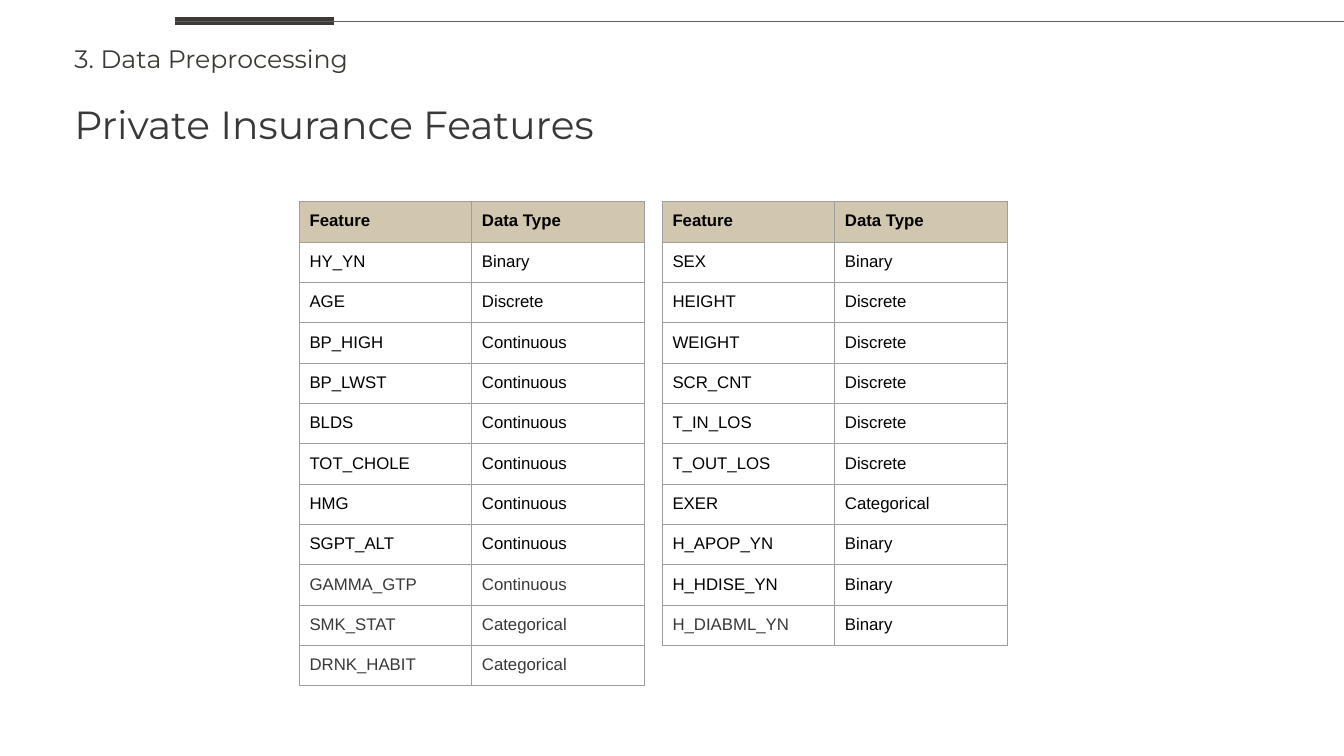
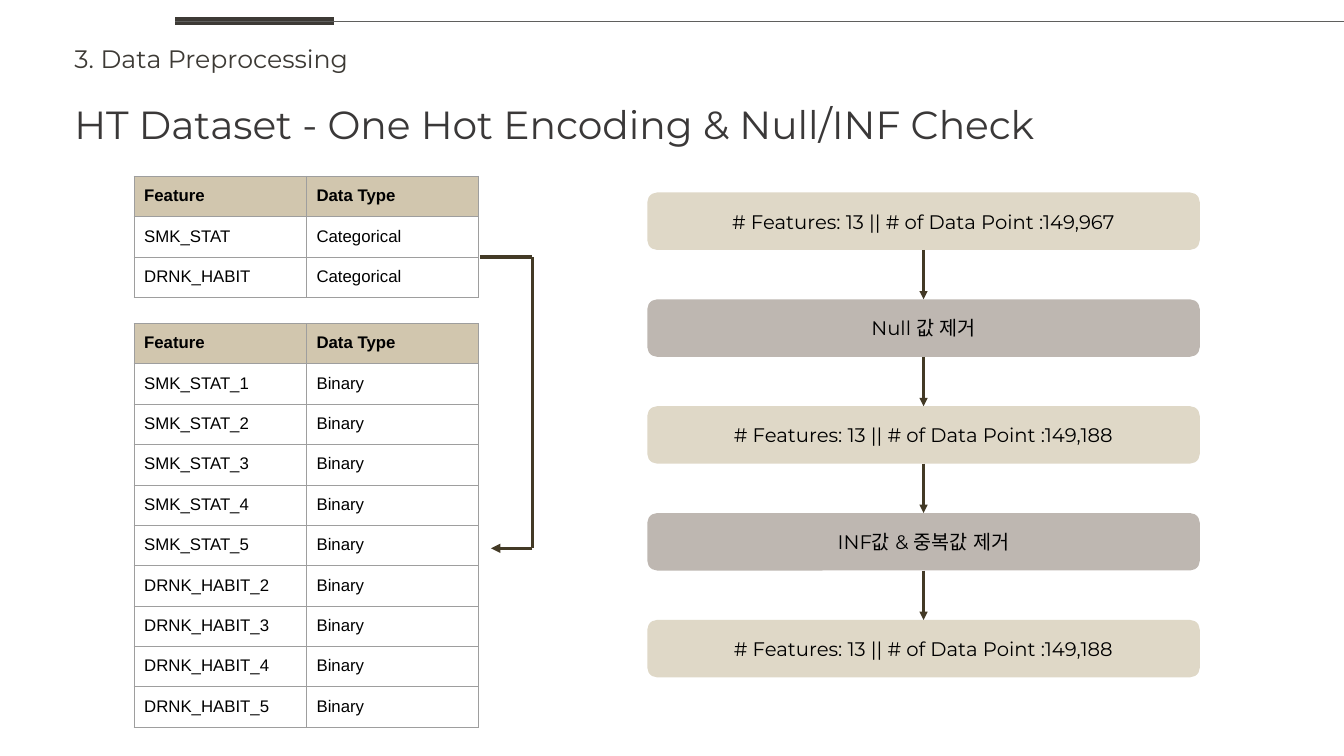
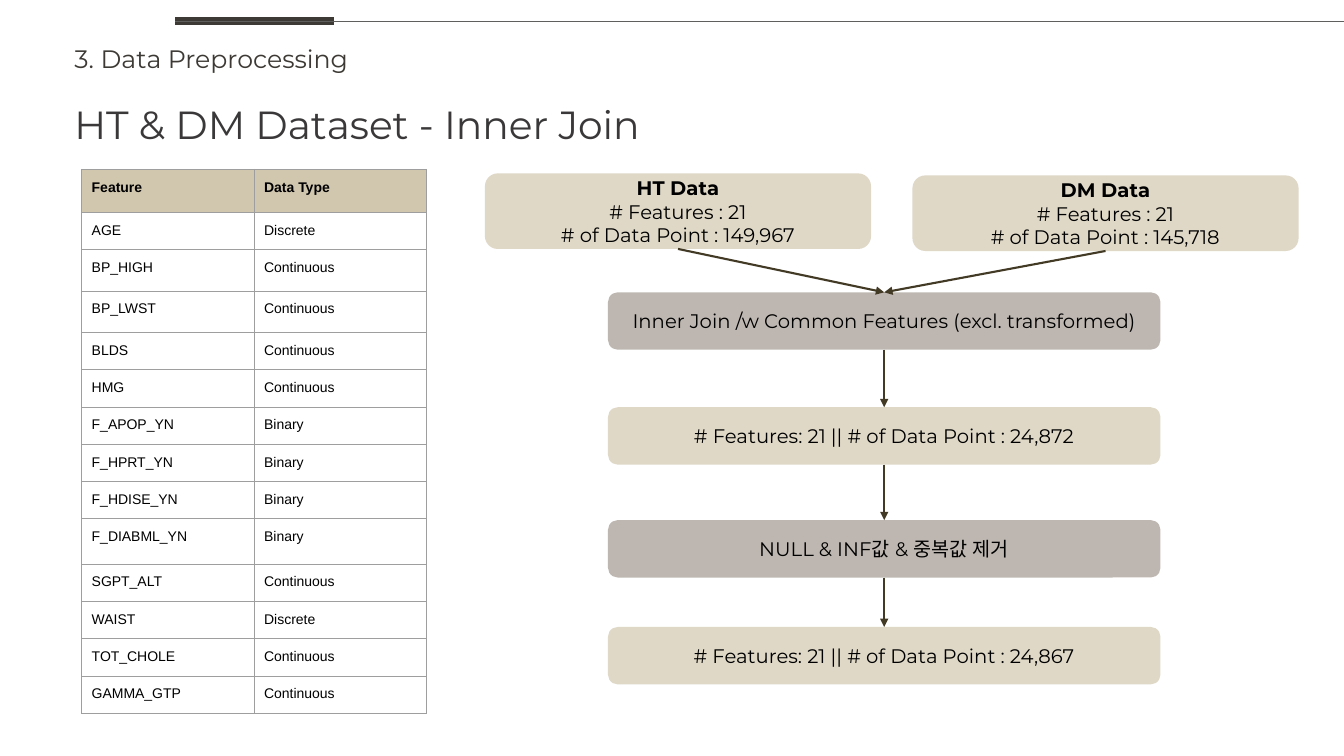
from dataclasses import dataclass
from itertools import pairwise
from typing import Sequence

from lxml import etree
from pptx import Presentation
from pptx.dml.color import RGBColor as RGB
from pptx.enum.shapes import MSO_CONNECTOR as Conn, MSO_SHAPE as Shape
from pptx.enum.text import MSO_ANCHOR as Anchor, PP_ALIGN as Align
from pptx.oxml import parse_xml
from pptx.oxml.ns import nsdecls, qn
from pptx.util import Inches, Pt

COLORS = {
    "ink": "3D3A35", "title": "3A3838", "rule": "5F5F5D", "black": "000000",
    "head": "D1C6AE", "border": "9E9E9E", "arrow": "433A26",
    "data": "DFD8C7", "action": "BEB7B1",
}
MARGINS = ("margin_left", "margin_top", "margin_right", "margin_bottom")
SECTION = "3. Data Preprocessing"
COL_W = 1.71
ROW_H = 0.4
BOX_W, BOX_H = 5.48, 0.57


@dataclass
class FeatureTable:
    left: float
    top: float
    groups: Sequence[tuple[str, str]]  # data type, names separated by spaces
    heights: Sequence[float] = ()
    size: int = 12
    grey: Sequence[str] = ()  # names or types set in the softer colour


@dataclass
class Box:
    left: float
    top: float
    lines: Sequence[str]
    fill: str
    width: float = BOX_W
    height: float = BOX_H

    @property
    def center(self) -> float:
        return self.left + self.width / 2

    @property
    def bottom(self) -> float:
        return self.top + self.height


def rgb(key: str) -> RGB:
    return RGB.from_string(COLORS[key])


def write(p, text: str, font: str, size: float, color: str, bold: bool = False) -> None:
    r = p.add_run()
    r.text = text
    for attr, value in {"name": font, "size": Pt(size), "bold": bold}.items():
        setattr(r.font, attr, value)
    r.font.color.rgb = rgb(color)
    etree.SubElement(r.font._element, qn("a:ea")).set("typeface", font)


def add_line(s, start: tuple[float, float], end: tuple[float, float], color: str,
             width: float, arrow: bool = False) -> None:
    ln = s.shapes.add_connector(Conn.STRAIGHT, *map(Inches, (*start, *end)))
    ln.line.width = Pt(width)
    ln.line.color.rgb = rgb(color)
    etree.SubElement(ln._element.spPr, qn("a:effectLst"))
    if arrow:
        etree.SubElement(ln.line._get_or_add_ln(), qn("a:tailEnd")).set("type", "triangle")


def add_label(s, top: float, width: float, height: float, text: str, size: float,
              color: str) -> None:
    tf = s.shapes.add_textbox(*map(Inches, (0.64, top, width, height))).text_frame
    tf.word_wrap = True
    write(tf.paragraphs[0], text, "Montserrat", size, color)


def add_slide(prs, title: str):
    """Blank slide with the top rules, section name and title."""
    s = prs.slides.add_slide(prs.slide_layouts[6])
    add_label(s, 0.38, 3.05, 0.4, SECTION, 18, "ink")
    add_label(s, 0.95, 12.46, 0.57, title, 28, "title")
    add_line(s, (1.74, 0.21), (3.31, 0.21), "ink", 6)
    add_line(s, (1.74, 0.21), (13.33, 0.21), "rule", 0.75)
    return s


def style_cell(cell, text: str, size: float, color: str, header: bool) -> None:
    for margin in MARGINS:
        setattr(cell, margin, Inches(0.1))
    tc_pr = cell._tc.get_or_add_tcPr()
    for side in ("lnL", "lnR", "lnT", "lnB"):
        tc_pr.append(parse_xml(
            f'<a:{side} {nsdecls("a")} w="{Pt(0.75)}"><a:solidFill>'
            f'<a:srgbClr val="{COLORS["border"]}"/></a:solidFill></a:{side}>'))
    if header:
        cell.fill.solid()
        cell.fill.fore_color.rgb = rgb("head")
    else:
        cell.fill.background()
    write(cell.text_frame.paragraphs[0], text, "Arial", size, color, header)


def add_features(s, spec: FeatureTable) -> None:
    rows = [("Feature", "Data Type")]
    rows += [(name, kind) for kind, names in spec.groups for name in names.split()]
    heights = spec.heights or [ROW_H] * len(rows)
    box = (spec.left, spec.top, 2 * COL_W, sum(heights))
    table = s.shapes.add_table(len(rows), 2, *map(Inches, box)).table
    table.first_row = table.horz_banding = False
    for col in table.columns:
        col.width = Inches(COL_W)
    for i, (row, height) in enumerate(zip(rows, heights)):
        table.rows[i].height = Inches(height)
        for j, text in enumerate(row):
            soft = row[0] in spec.grey and (j == 0 or row[1] != "Binary")
            style_cell(table.cell(i, j), text, spec.size,
                       "title" if soft else "black", i == 0)


def add_box(s, box: Box) -> None:
    sp = s.shapes.add_shape(Shape.ROUNDED_RECTANGLE, *map(
        Inches, (box.left, box.top, box.width, box.height)))
    sp.adjustments[0] = 0.17
    sp.shadow.inherit = False
    sp.fill.solid()
    sp.fill.fore_color.rgb = rgb(box.fill)
    sp.line.fill.background()
    tf = sp.text_frame
    frame = {"word_wrap": True, "vertical_anchor": Anchor.MIDDLE}
    frame |= dict.fromkeys(MARGINS, Inches(0.1))
    for attr, value in frame.items():
        setattr(tf, attr, value)
    for i, line in enumerate(box.lines):
        p = tf.add_paragraph() if i else tf.paragraphs[0]
        p.alignment = Align.CENTER
        # The first line of a longer box is its heading
        write(p, line, "Montserrat", 14, "black", i == 0 and len(box.lines) > 1)


def join_boxes(s, upper: Box, lower: Box) -> None:
    add_line(s, (upper.center, upper.bottom), (lower.center, lower.top), "arrow", 1.5, True)


def add_flow(s, boxes: Sequence[Box]) -> None:
    for box in boxes:
        add_box(s, box)
    for upper, lower in pairwise(boxes):
        join_boxes(s, upper, lower)


def features_slide(prs) -> None:
    s = add_slide(prs, "Private Insurance Features")
    add_features(s, FeatureTable(2.97, 2, [
        ("Binary", "HY_YN"),
        ("Discrete", "AGE"),
        ("Continuous", "BP_HIGH BP_LWST BLDS TOT_CHOLE HMG SGPT_ALT GAMMA_GTP"),
        ("Categorical", "SMK_STAT DRNK_HABIT"),
    ], grey=("GAMMA_GTP", "SMK_STAT", "DRNK_HABIT")))
    add_features(s, FeatureTable(6.57, 2, [
        ("Binary", "SEX"),
        ("Discrete", "HEIGHT WEIGHT SCR_CNT T_IN_LOS T_OUT_LOS"),
        ("Categorical", "EXER"),
        ("Binary", "H_APOP_YN H_HDISE_YN H_DIABML_YN"),
    ], grey=("H_DIABML_YN",)))


def encoding_slide(prs) -> None:
    s = add_slide(prs, "HT Dataset - One Hot Encoding & Null/INF Check")
    add_features(s, FeatureTable(1.33, 1.75, [("Categorical", "SMK_STAT DRNK_HABIT")]))
    add_features(s, FeatureTable(1.33, 3.21, [
        ("Binary", "SMK_STAT_1 SMK_STAT_2 SMK_STAT_3 SMK_STAT_4 SMK_STAT_5"),
        ("Binary", "DRNK_HABIT_2 DRNK_HABIT_3 DRNK_HABIT_4 DRNK_HABIT_5"),
    ]))
    # Bent arrow from the categories to their encoded columns
    bend = [(4.76, 2.55), (5.28, 2.55), (5.28, 5.44), (4.87, 5.44)]
    for start, end in pairwise(bend):
        add_line(s, start, end, "arrow", 2.25, end == bend[-1])
    # Cleaning steps
    steps = [
        ("# Features: 13 || # of Data Point :149,967", "data"),
        ("Null 값 제거", "action"),
        ("# Features: 13 || # of Data Point :149,188", "data"),
        ("INF값 & 중복값 제거", "action"),
        ("# Features: 13 || # of Data Point :149,188", "data"),
    ]
    add_flow(s, [Box(6.42, 1.91 + 1.06 * i, [text], fill)
                 for i, (text, fill) in enumerate(steps)])


def join_slide(prs) -> None:
    s = add_slide(prs, "HT & DM Dataset - Inner Join")
    add_features(s, FeatureTable(0.81, 1.68, [
        ("Discrete", "AGE"),
        ("Continuous", "BP_HIGH BP_LWST BLDS HMG"),
        ("Binary", "F_APOP_YN F_HPRT_YN F_HDISE_YN F_DIABML_YN"),
        ("Continuous", "SGPT_ALT"),
        ("Discrete", "WAIST"),
        ("Continuous", "TOT_CHOLE GAMMA_GTP"),
    ], [0.43, 0.37, 0.41, 0.41] + [0.37] * 5 + [0.45] + [0.37] * 4, size=10))
    # Joining steps
    flow = [Box(6.03, top, [text], fill) for top, text, fill in (
        (2.9, "Inner Join /w Common Features (excl. transformed)", "action"),
        (4.04, "# Features: 21 || # of Data Point : 24,872", "data"),
        (5.16, "NULL & INF값 & 중복값 제거", "action"),
        (6.22, "# Features: 21 || # of Data Point : 24,867", "data"),
    )]
    add_flow(s, flow)
    # The two sources
    for left, top, name, points in ((4.81, 1.72, "HT Data", "149,967"),
                                    (9.05, 1.74, "DM Data", "145,718")):
        lines = [name, "# Features : 21", f"# of Data Point : {points}"]
        source = Box(left, top, lines, "data", 3.83, 0.75)
        add_box(s, source)
        join_boxes(s, source, flow[0])


def main() -> None:
    prs = Presentation()
    prs.slide_width, prs.slide_height = Inches(13.33), Inches(7.5)
    features_slide(prs)
    encoding_slide(prs)
    join_slide(prs)
    prs.save("out.pptx")


if __name__ == "__main__":
    main()
